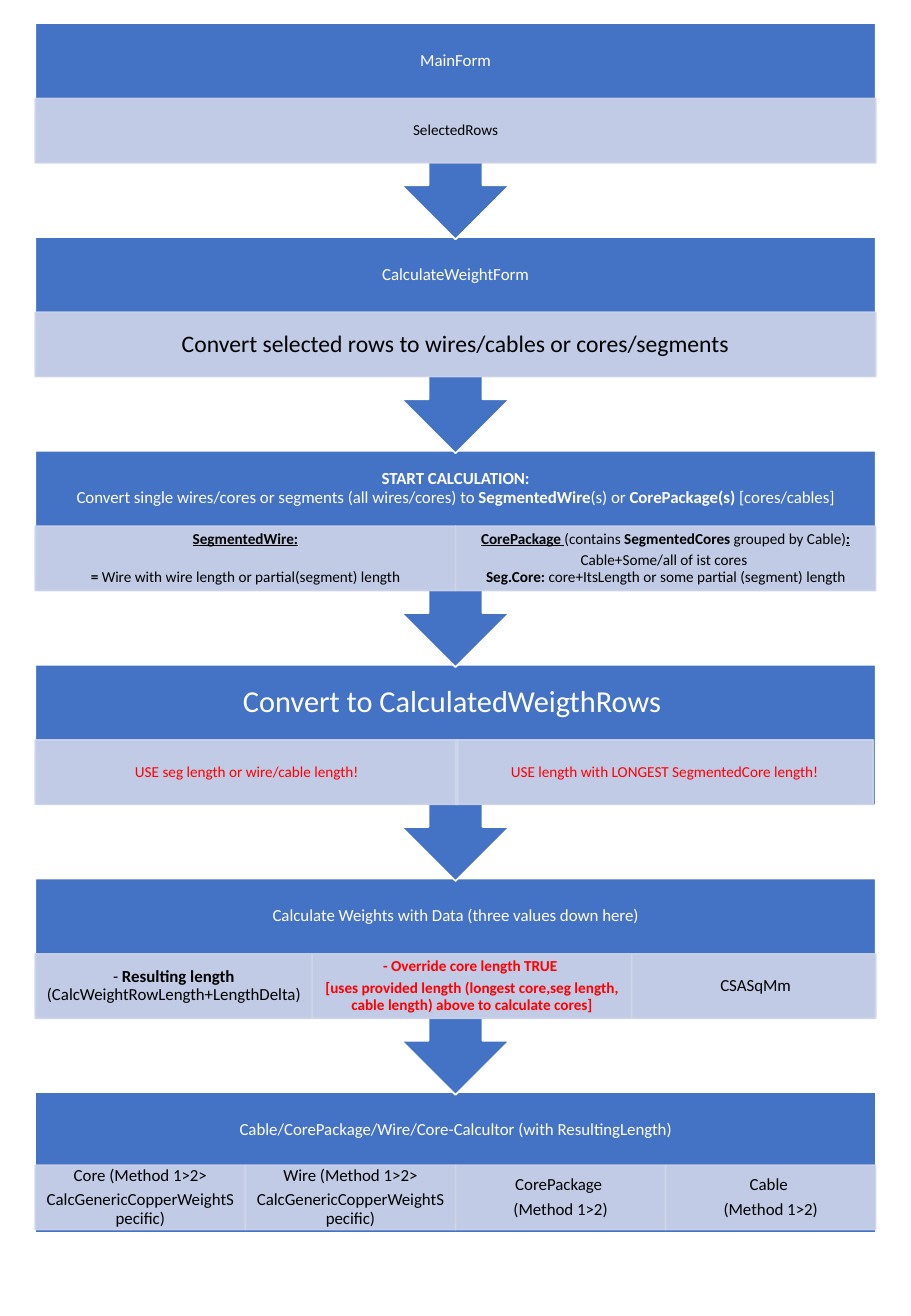
from lxml import etree
from pptx import Presentation
from pptx.dml.color import RGBColor
from pptx.enum import shapes, text
from pptx.oxml.ns import qn
from pptx.util import Inches, Pt

BLUE = RGBColor(0x44, 0x72, 0xC4)
PALE = RGBColor(0xCF, 0xD5, 0xEA)
WHITE = RGBColor(0xFF, 0xFF, 0xFF)
BLACK = RGBColor(0, 0, 0)
RED = RGBColor(0xFF, 0, 0)

LEFT, TOP, WIDTH, PITCH = 0.29, 0.19, 6.92, 1.76
CALLOUT_H, LAST_H, HEADER_H, CELL_H = 1.78, 1.16, 0.62, 0.53
HALF, QUARTER = WIDTH / 2, WIDTH / 4

# Each stage: header paragraphs, header size, cell overlap, cells.
# Each cell: width, size, colour, paragraphs made of (text, style) runs.
STAGES = [
    ([[("MainForm", "")]], 10, 0,
     [(WIDTH, 9, BLACK, [[("SelectedRows", "")]])]),
    ([[("CalculateWeightForm", "")]], 10, 0,
     [(WIDTH, 14, BLACK,
       [[("Convert selected rows to wires/cables or cores/segments", "")]])]),
    ([[("START CALCULATION:\n", "b"),
       ("Convert single wires/cores or segments (all wires/cores) to ", ""),
       ("SegmentedWire", "b"), ("(s) or ", ""),
       ("CorePackage(s)", "b"), (" [cores/cables]", "")]], 10, 0,
     [(HALF, 9, BLACK,
       [[("SegmentedWire:", "bu")],
        [("\n= ", "b"),
         ("Wire with wire length or partial(segment) length", "")]]),
      (HALF, 9, BLACK,
       [[("CorePackage ", "bu"), ("(contains ", ""),
         ("SegmentedCores ", "b"), ("grouped by Cable)", ""), (":", "bu")],
        [("Cable+Some/all of ist cores \n", ""), ("Seg.Core: ", "b"),
         ("core+ItsLength or some partial (segment) length", "")]])]),
    ([[("Convert to CalculatedWeigthRows ", "")]], 18, 0.02,
     [(3.48, 9, RED, [[("USE seg length or wire/cable length!", "")]]),
      (3.44, 9, RED,
       [[("USE length with LONGEST SegmentedCore length!", "")]])]),
    ([[("Calculate Weights with Data (three values down here)", "")]], 10, 0,
     [(2.28, 10, BLACK,
       [[("- ", ""), ("Resulting length ", "b"),
         ("(CalcWeightRowLength+LengthDelta)", "")]]),
      (2.63, 9, RED,
       [[("- Override core length TRUE ", "b")],
        [("[uses provided length (longest core,seg length, cable length) "
          "above to calculate cores]", "b")]]),
      (2.01, 10, BLACK, [[(" CSASqMm", "")]])]),
    ([[("Cable/CorePackage/Wire/Core-Calcultor (with ResultingLength)", "")]],
     10, 0,
     [(QUARTER, 10, BLACK, [[(first, "")], [(second, "")]])
      for first, second in [
          ("Core (Method 1>2>", "CalcGenericCopperWeightSpecific)"),
          ("Wire (Method 1>2>", "CalcGenericCopperWeightSpecific)"),
          ("CorePackage ", "(Method 1>2)"),
          ("Cable ", "(Method 1>2)")]]),
]


def write(sp, paragraphs, size, color, side, edge):
    tf = sp.text_frame
    tf.word_wrap = True
    tf.vertical_anchor = text.MSO_ANCHOR.MIDDLE
    tf.margin_left = tf.margin_right = Inches(side)
    tf.margin_top = tf.margin_bottom = Inches(edge)
    for i, runs in enumerate(paragraphs):
        p = tf.add_paragraph() if i else tf.paragraphs[0]
        p.alignment = text.PP_ALIGN.CENTER
        p.line_spacing = 0.9
        p.space_after = Pt(0.35 * size)
        for content, style in runs:
            for n, piece in enumerate(content.split("\n")):
                if n:
                    p.add_line_break()
                    etree.SubElement(p._p[-1], qn("a:rPr"), sz=str(size * 100))
                if piece:
                    r = p.add_run()
                    r.text = piece
                    r.font.name = "Calibri"
                    r.font.size = Pt(size)
                    r.font.color.rgb = color
                    r.font.bold = "b" in style
                    r.font.underline = "u" in style


def block(s, kind, x, y, w, h, fill, line, alpha=None):
    sp = s.shapes.add_shape(kind, Inches(x), Inches(y), Inches(w), Inches(h))
    sp.shadow.inherit = False
    sp.fill.solid()
    sp.fill.fore_color.rgb = fill
    sp.line.color.rgb = line
    sp.line.width = Pt(1)
    if alpha:
        for clr in sp._element.spPr.iter(qn("a:srgbClr")):
            etree.SubElement(clr, qn("a:alpha"), val=str(alpha * 1000))
    return sp


def add_stage(s, x, y, stage, last):
    header, size, overlap, cells = stage
    if last:
        block(s, shapes.MSO_SHAPE.RECTANGLE, x, y, WIDTH, LAST_H, BLUE, WHITE)
    else:
        sp = block(s, shapes.MSO_SHAPE.UP_ARROW_CALLOUT,
                   x, y, WIDTH, CALLOUT_H, BLUE, WHITE)
        sp.rotation = 180
    tb = s.shapes.add_textbox(Inches(x), Inches(y), Inches(WIDTH), Inches(HEADER_H))
    write(tb, header, size, WHITE, size * 0.008, size * 0.008)
    cell_y = y + (0.6 if last else HEADER_H)
    for w, cell_size, color, paragraphs in cells:
        sp = block(s, shapes.MSO_SHAPE.RECTANGLE, x, cell_y, w, CELL_H, PALE, PALE, 90)
        write(sp, paragraphs, cell_size, color, cell_size * 0.008, 0.01)
        x += w - overlap


def main():
    prs = Presentation()
    prs.slide_width, prs.slide_height = Inches(7.5), Inches(10.83)
    s = prs.slides.add_slide(prs.slide_layouts[6])
    for i in reversed(range(len(STAGES))):
        add_stage(s, LEFT, TOP + i * PITCH, STAGES[i], i == len(STAGES) - 1)
    prs.save("out.pptx")


if __name__ == "__main__":
    main()
